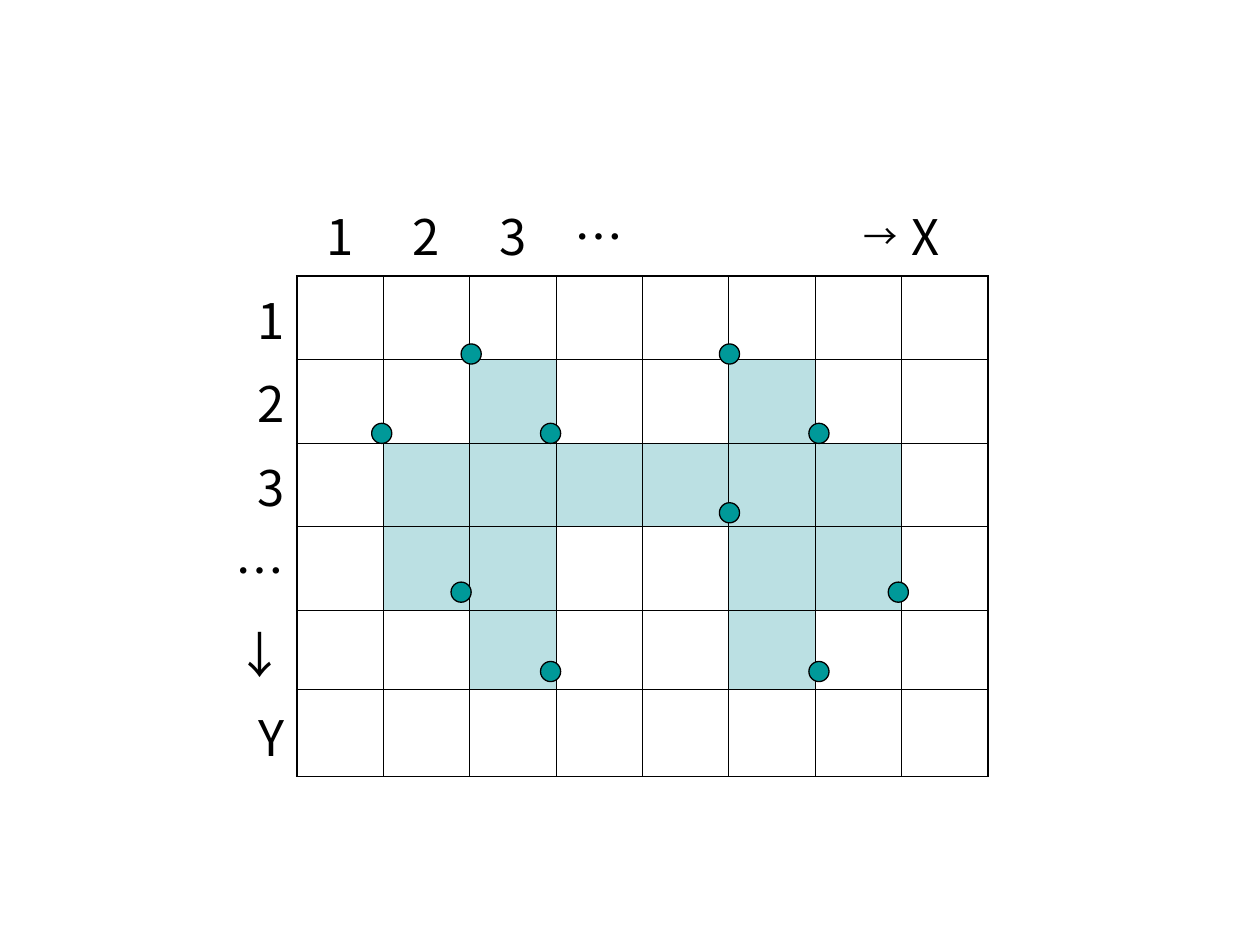
from lxml import etree
from pptx import Presentation
from pptx.dml.color import RGBColor
from pptx.enum.shapes import MSO_SHAPE
from pptx.enum.text import MSO_ANCHOR, PP_ALIGN
from pptx.oxml.ns import qn
from pptx.util import Inches, Pt

OVAL = MSO_SHAPE.OVAL
BOTTOM, MIDDLE = MSO_ANCHOR.BOTTOM, MSO_ANCHOR.MIDDLE
CENTER, RIGHT = PP_ALIGN.CENTER, PP_ALIGN.RIGHT
FONT = "Noto Sans CJK KR"
ROWS, COLS = 7, 9
THIN, THICK = 0.45, 1.08
BLACK, TINT, TEAL = "000000", "BBE0E3", "009999"
COLUMN_LABELS = {1: "1", 2: "2", 3: "3", 4: "…", 7: "X"}
ROW_LABELS = {1: ["1"], 2: ["2"], 3: ["3"], 4: ["…"], 5: ["↓", "Y"]}
SHADED = {2: (3, 6), 3: range(2, 8), 4: (2, 3, 6, 7), 5: (3, 6)}
DOTS = {2: (1.99, 4.04), 3: (1.28, 2.62, 4.75), 4: (4.04,),
        5: (1.91, 5.38), 6: (2.62, 4.75)}
DOT_SIZE, DOT_RISE = 0.16, 0.06


def color(value):
    return RGBColor.from_string(value)


def sub(parent, tag, **attrs):
    return etree.SubElement(parent, qn(tag), **attrs)


def edge_width(index, cross, last):
    if index == 0 or cross == 0:
        return 0
    return THICK if index in (1, last) else THIN


def set_borders(cell, row, col):
    tcPr = cell._tc.get_or_add_tcPr()
    edges = {
        "a:lnL": edge_width(col, row, COLS),
        "a:lnR": edge_width(col + 1, row, COLS),
        "a:lnT": edge_width(row, col, ROWS),
        "a:lnB": edge_width(row + 1, col, ROWS),
    }
    for tag, width in edges.items():
        ln = sub(tcPr, tag, w=str(Pt(width)))
        if width:
            sub(sub(ln, "a:solidFill"), "a:srgbClr", val=BLACK)
        else:
            sub(ln, "a:noFill")


def add_arrow_bullet(p):
    pPr = p._p.get_or_add_pPr()
    pPr.set("marL", str(Inches(0.38)))
    pPr.set("indent", str(Inches(-0.38)))
    sub(sub(pPr, "a:buClr"), "a:srgbClr", val=BLACK)
    sub(pPr, "a:buSzPct", val="70000")
    sub(pPr, "a:buFont", typeface=FONT)
    sub(pPr, "a:buChar", char="→")


def write_label(cell, lines, align, anchor):
    cell.vertical_anchor = anchor
    tf = cell.text_frame
    for i, text in enumerate(lines):
        p = tf.add_paragraph() if i else tf.paragraphs[0]
        p.alignment = align
        if i:
            p.space_before = Pt(7)
        r = p.add_run()
        r.text = text
        r.font.size = Pt(28)
        r.font.name = FONT
        r.font.color.rgb = color(BLACK)
        sub(r.font._element, "a:ea", typeface=FONT)


def add_grid(slide, left, top, width, height):
    table = slide.shapes.add_table(
        ROWS, COLS, Inches(left), Inches(top), Inches(width), Inches(height)).table
    table.first_row = False
    table.horz_banding = False
    for column in table.columns:
        column.width = Inches(width / COLS)
    for row in table.rows:
        row.height = Inches(height / ROWS)
    for row in range(ROWS):
        for col in range(COLS):
            cell = table.cell(row, col)
            set_borders(cell, row, col)
            if col in SHADED.get(row, ()):
                cell.fill.solid()
                cell.fill.fore_color.rgb = color(TINT)
            else:
                cell.fill.background()
    table.cell(0, 7).merge(table.cell(0, 8))
    table.cell(5, 0).merge(table.cell(6, 0))
    for col, text in COLUMN_LABELS.items():
        write_label(table.cell(0, col), [text], CENTER, BOTTOM)
    for row, lines in ROW_LABELS.items():
        write_label(table.cell(row, 0), lines, RIGHT, MIDDLE)
    add_arrow_bullet(table.cell(0, 7).text_frame.paragraphs[0])


def add_dots(slide, left, top, height):
    for row, offsets in DOTS.items():
        y = top + row * height / ROWS - DOT_RISE
        for x in offsets:
            sp = slide.shapes.add_shape(
                OVAL, Inches(left + x), Inches(y), Inches(DOT_SIZE), Inches(DOT_SIZE))
            sp.shadow.inherit = False
            sp.fill.solid()
            sp.fill.fore_color.rgb = color(TEAL)
            sp.line.color.rgb = color(BLACK)
            sp.line.width = Pt(0.75)


def main():
    prs = Presentation()
    prs.slide_width, prs.slide_height = Inches(10), Inches(7.5)
    slide = prs.slides.add_slide(prs.slide_layouts[6])
    left, top, width, height = 1.67, 1.53, 6.17, 4.41
    add_grid(slide, left, top, width, height)
    add_dots(slide, left, top, height)
    prs.save("out.pptx")


if __name__ == "__main__":
    main()
